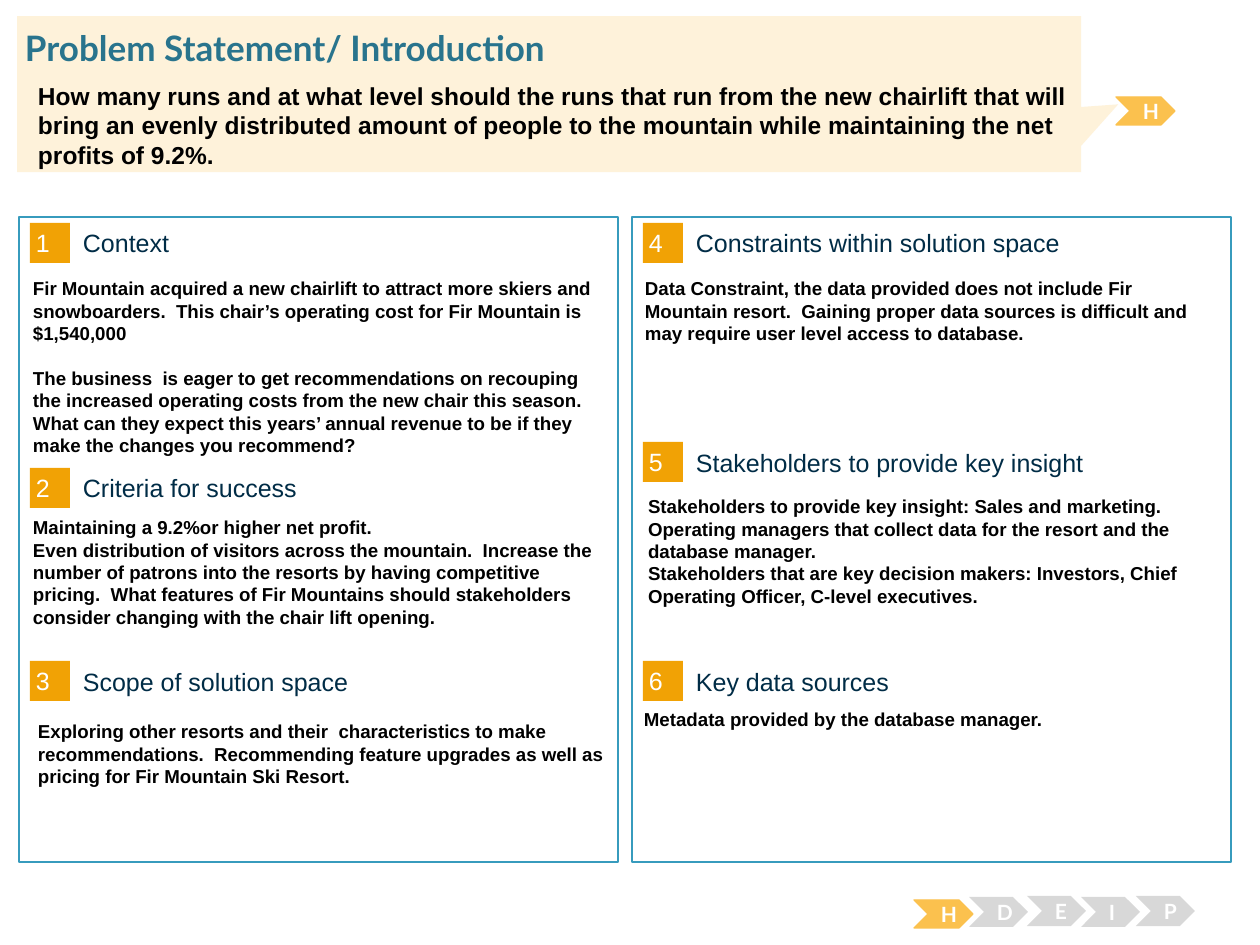
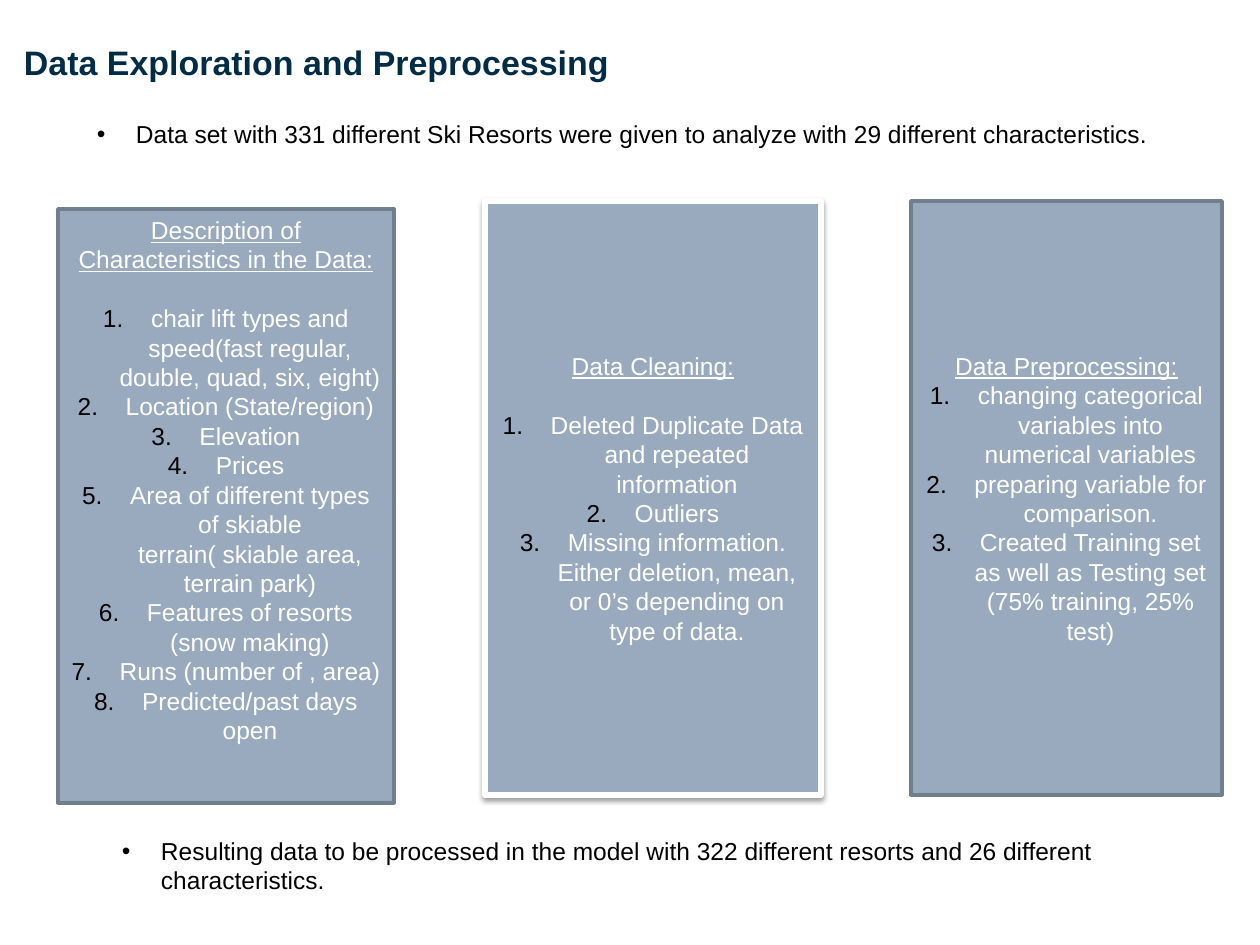
from dataclasses import dataclass
from typing import Optional

from lxml import etree
from pptx import Presentation
from pptx.dml.color import RGBColor
from pptx.enum.shapes import MSO_SHAPE
from pptx.enum.text import MSO_ANCHOR, MSO_AUTO_SIZE, PP_ALIGN
from pptx.oxml.ns import qn
from pptx.util import Emu, Pt

RECT, CHEVRON = MSO_SHAPE.RECTANGLE, MSO_SHAPE.CHEVRON
CALLOUT = MSO_SHAPE.RECTANGULAR_CALLOUT
TOP, MIDDLE = MSO_ANCHOR.TOP, MSO_ANCHOR.MIDDLE
LEFT, CENTER = PP_ALIGN.LEFT, PP_ALIGN.CENTER
GROW = MSO_AUTO_SIZE.SHAPE_TO_FIT_TEXT
EMU_PER_PX = 914400 / 126
PAD, TIGHT, NONE = (13, 6), (6, 6), (0, 0)


@dataclass(frozen=True)
class Theme:
    ink: str = "000000"
    white: str = "FFFFFF"
    navy: str = "002C46"
    teal: str = "29748D"
    frame: str = "379BBD"
    badge: str = "F1A205"
    active: str = "FBC14E"
    idle: str = "D8D8D8"
    cream: str = "FEF2DA"
    slate: str = "99AABE"
    slate_edge: str = "717E8D"
    sans: str = "Arial"
    display: str = "Lato"
    title: float = 20
    title_plain: float = 19.4
    heading: float = 14.3
    text: float = 14
    step: float = 12
    body: float = 10.7


@dataclass(frozen=True)
class Box:
    x: int
    y: int
    w: int
    h: int


@dataclass(frozen=True)
class Para:
    text: str
    before: float = 0
    underline: bool = False
    bullet: Optional[str] = None


@dataclass(frozen=True)
class Section:
    number: int
    heading: str
    x: int
    y: int
    body: Box
    paras: tuple[Para, ...]


@dataclass(frozen=True)
class Card:
    box: Box
    heading: str
    items: tuple[str, ...]
    gap: float = 0
    anchor: MSO_ANCHOR = MIDDLE
    raised: bool = False


T = Theme()


def px(n: float) -> Emu:
    return Emu(round(n * EMU_PER_PX))


def rgb(color: str) -> RGBColor:
    return RGBColor.from_string(color)


def add_bullet(p, kind: str) -> None:
    indent = px(48 if kind == "number" else 39)
    pPr = p._p.get_or_add_pPr()
    pPr.set("marL", str(indent))
    pPr.set("indent", str(-indent))
    clr = etree.SubElement(pPr, qn("a:buClr"))
    etree.SubElement(clr, qn("a:srgbClr"), val=T.ink)
    etree.SubElement(pPr, qn("a:buFont"), typeface=T.sans)
    if kind == "number":
        etree.SubElement(pPr, qn("a:buAutoNum"), type="arabicPeriod")
    else:
        etree.SubElement(pPr, qn("a:buChar"), char=kind)


def add_shadow(sp) -> None:
    effects = sp._element.spPr.find(qn("a:effectLst"))
    shadow = etree.SubElement(effects, qn("a:outerShdw"), blurRad=str(Pt(3.1)),
                              dist=str(Pt(1.6)), dir="5400000", rotWithShape="0")
    clr = etree.SubElement(shadow, qn("a:srgbClr"), val=T.ink)
    etree.SubElement(clr, qn("a:alpha"), val="38000")


def write(sp, paras: tuple[Para, ...], *, size: float, color: str = T.ink,
          font: str = T.sans, bold: bool = False, align: PP_ALIGN = LEFT,
          anchor: MSO_ANCHOR = TOP, pad: tuple[int, int] = PAD) -> None:
    tf = sp.text_frame
    tf.word_wrap = True
    tf.vertical_anchor = anchor
    tf.margin_left = tf.margin_right = px(pad[0])
    tf.margin_top = tf.margin_bottom = px(pad[1])
    for i, para in enumerate(paras):
        p = tf.add_paragraph() if i else tf.paragraphs[0]
        p.alignment = align
        p.space_before = Pt(para.before)
        if para.bullet:
            add_bullet(p, para.bullet)
        r = p.add_run()
        r.text = para.text
        r.font.name, r.font.size, r.font.bold = font, Pt(size), bold
        r.font.underline = para.underline
        r.font.color.rgb = rgb(color)


def add_shape(s, kind: MSO_SHAPE, box: Box, fill: str,
              line: Optional[str] = None, width: float = 0.75):
    sp = s.shapes.add_shape(kind, px(box.x), px(box.y), px(box.w), px(box.h))
    sp.shadow.inherit = False
    sp.fill.solid()
    sp.fill.fore_color.rgb = rgb(fill)
    if line:
        sp.line.color.rgb = rgb(line)
        sp.line.width = Pt(width)
    else:
        sp.line.fill.background()
    return sp


def add_text(s, box: Box, *paras: Para, **fmt):
    sp = s.shapes.add_textbox(px(box.x), px(box.y), px(box.w), px(box.h))
    write(sp, paras, **fmt)
    return sp


def add_title(s, text: str, x: int, y: int, **fmt) -> None:
    add_text(s, Box(x, y, 1212, 43), Para(text), bold=True, pad=NONE, **fmt)


def add_step(s, letter: str, x: int, y: int, active: bool = False) -> None:
    box = Box(x, y, 59, 28 if active else 30)
    fill = T.active if active else T.idle
    sp = add_shape(s, CHEVRON, box, fill, fill if active else None)
    write(sp, (Para(letter),), size=T.step, color=T.white, font=T.display,
          bold=True, align=CENTER, anchor=MIDDLE)


def add_section(s, sec: Section) -> None:
    sp = add_shape(s, RECT, Box(sec.x, sec.y, 40, 40), T.badge)
    write(sp, (Para(str(sec.number)),), size=T.heading, color=T.white,
          anchor=MIDDLE, pad=TIGHT)
    add_text(s, Box(sec.x + 53, sec.y + 4, 495, 32), Para(sec.heading),
             size=T.heading, color=T.navy, anchor=MIDDLE, pad=NONE)
    add_text(s, sec.body, *sec.paras, size=T.body, bold=True)


def add_card(s, card: Card) -> None:
    edge, width = (T.white, 3) if card.raised else (T.slate_edge, 2)
    sp = add_shape(s, RECT, card.box, T.slate, edge, width)
    if card.raised:
        add_shadow(sp)
    items = tuple(Para(text, before=0 if i else card.gap, bullet="number")
                  for i, text in enumerate(card.items))
    write(sp, (Para(card.heading, underline=True), *items), size=T.text,
          color=T.white, align=CENTER, anchor=card.anchor)


def add_note(s, box: Box, text: str) -> None:
    sp = add_text(s, box, Para(text, bullet="•"), size=T.text)
    sp.text_frame.auto_size = GROW


SECTIONS = (
    Section(1, "Context", 30, 223, Box(20, 271, 596, 186), (
        Para("Fir Mountain acquired a new chairlift to attract more skiers and "
             "snowboarders.  This chair’s operating cost for Fir Mountain is "
             "$1,540,000"),
        Para("The business  is eager to get recommendations on recouping the "
             "increased operating costs from the new chair this season.",
             before=12.8),
        Para("What can they expect this years’ annual revenue to be if they "
             "make the changes you recommend?"))),
    Section(2, "Criteria for success", 30, 468, Box(20, 510, 596, 171), (
        Para("Maintaining a 9.2%or higher net profit."),
        Para("Even distribution of visitors across the mountain.  Increase the "
             "number of patrons into the resorts by having competitive pricing.  "
             "What features of Fir Mountains should stakeholders consider "
             "changing with the chair lift opening."))),
    Section(3, "Scope of solution space", 30, 661, Box(25, 714, 596, 103), (
        Para("Exploring other resorts and their  characteristics to make "
             "recommendations.  Recommending feature upgrades as well as "
             "pricing for Fir Mountain Ski Resort."),)),
    Section(4, "Constraints within solution space", 643, 223,
            Box(632, 271, 596, 149), (
        Para("Data Constraint, the data provided does not include Fir Mountain "
             "resort.  Gaining proper data sources is difficult and may require "
             "user level access to database."),)),
    Section(5, "Stakeholders to provide key insight", 643, 442,
            Box(635, 489, 596, 149), (
        Para("Stakeholders to provide key insight: Sales and marketing. "
             "Operating managers that collect data for the resort and the "
             "database manager."),
        Para("Stakeholders that are key decision makers: Investors, Chief "
             "Operating Officer, C-level executives."))),
    Section(6, "Key data sources", 643, 661, Box(631, 702, 596, 149), (
        Para("Metadata provided by the database manager."),)),
)

STEPS = (("H", 914, 900), ("D", 969, 897), ("E", 1027, 896),
         ("I", 1081, 897), ("P", 1136, 896))

CARDS = (
    Card(Box(58, 209, 336, 594), "Description of Characteristics in the Data:", (
        "chair lift types and speed(fast regular, double, quad, six, eight)",
        "Location (State/region)", "Elevation", "Prices",
        "Area of different types of skiable terrain(\u00a0skiable area, terrain park)",
        "Features of resorts (snow making)", "Runs (number of , area)",
        "Predicted/past days open"), gap=16.8, anchor=TOP),
    Card(Box(485, 201, 336, 594), "Data Cleaning:", (
        "Deleted Duplicate Data and repeated information", "Outliers",
        "Missing information. Either deletion, mean, or 0’s depending on type "
        "of data."), gap=16.8, raised=True),
    Card(Box(911, 201, 311, 594), "Data Preprocessing:", (
        "changing categorical variables into numerical variables",
        "preparing variable for comparison.",
        "Created Training set as well as Testing set (75% training, 25% test)")),
)


def build_problem(s) -> None:
    for x in (19, 632):
        add_shape(s, RECT, Box(x, 217, 599, 645), T.white, T.frame, 1.5)
    for sec in SECTIONS:
        add_section(s, sec)
    for letter, x, y in STEPS:
        add_step(s, letter, x, y, active=letter == "H")
    add_step(s, "H", 1116, 97, active=True)
    sp = add_shape(s, CALLOUT, Box(17, 16, 1064, 156), T.cream)
    sp.adjustments[0], sp.adjustments[1] = 0.535, 0.066
    add_title(s, "Problem Statement/ Introduction", 25, 26, size=T.title,
              color=T.teal, font=T.display)
    add_text(s, Box(25, 75, 1064, 90), Para(
        "How many runs and at what level should the runs that run from the new "
        "chairlift that will bring an evenly distributed amount of people to "
        "the mountain while maintaining the net profits of 9.2%."),
        size=T.text, bold=True)


def build_data(s) -> None:
    add_title(s, "Data Exploration and Preprocessing", 24, 42,
              size=T.title_plain, color=T.navy)
    add_note(s, Box(84, 113, 1113, 72),
             "Data set with 331 different Ski Resorts were given to analyze "
             "with 29 different characteristics.")
    for card in CARDS:
        add_card(s, card)
    add_note(s, Box(109, 830, 1113, 102),
             "Resulting data to be processed in the model with 322 different "
             "resorts and 26 different characteristics.")


prs = Presentation()
prs.slide_width, prs.slide_height = px(1260), px(945)
for build in (build_problem, build_data):
    build(prs.slides.add_slide(prs.slide_layouts[6]))
prs.save("out.pptx")
